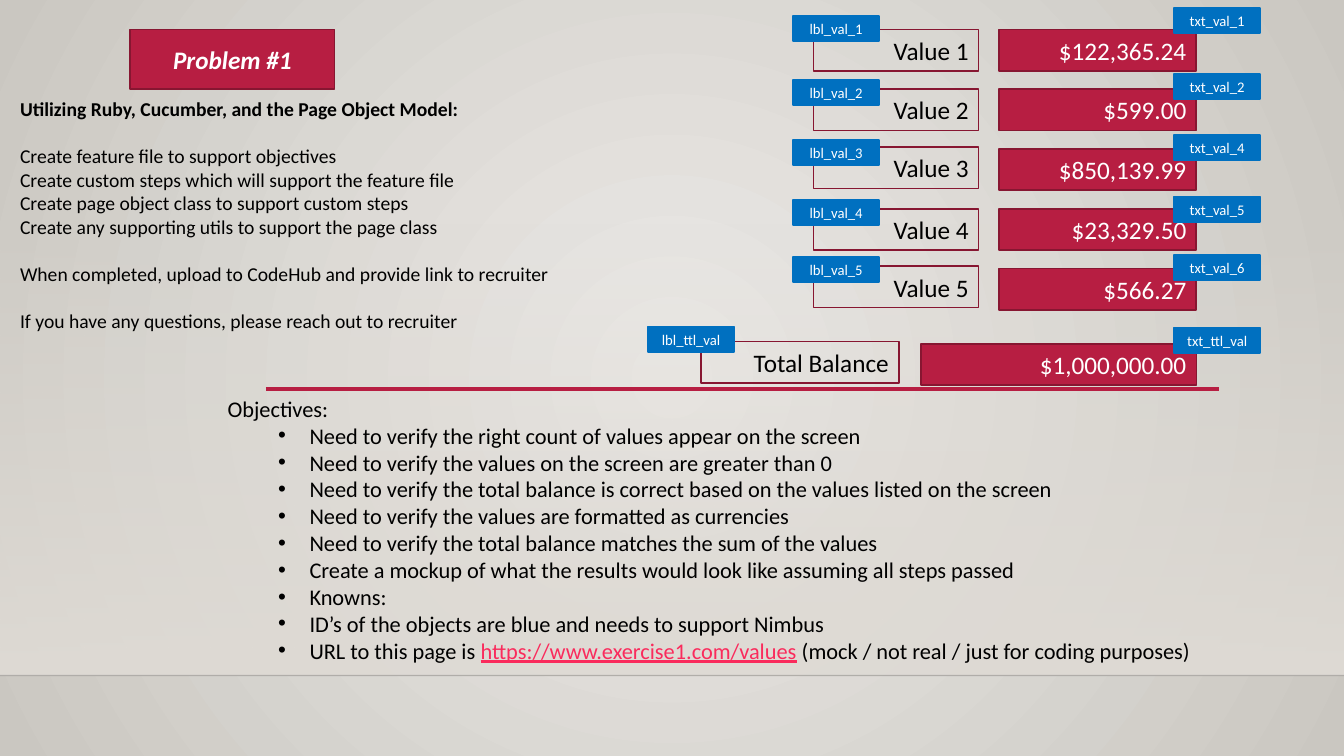
from lxml import etree
from pptx import Presentation
from pptx import util as u
from pptx.dml.color import RGBColor
from pptx.enum import shapes, text
from pptx.oxml import ns

Pt = u.Pt
COLOURS = {
    "glow": "ECEAE7", "edge": "CAC7C1", "wall": "DFDBD5", "floor_line": "000001",
    "crimson": "B71E42", "maroon": "871631", "blue": "0070C0", "link": "FA2B5C",
    "black": "000000", "white": "FFFFFF",
}
ALIGN = text.PP_ALIGN
FORMATS = {
    "title": {"size": Pt(18), "bold": True, "italic": True},
    "field": {"size": Pt(18)},
    "tag": {"size": Pt(10.5)},
    "heading": {"size": Pt(14), "bold": True},
    "brief": {"size": Pt(14), "bold": False},
    "objective": {"size": Pt(16)},
    "link": {"size": Pt(16), "underline": True},
}
BRIEF = [  # wording, format, space before
    ("Utilizing Ruby, Cucumber, and the Page Object Model:", "heading", 0),
    ("Create feature file to support objectives", "brief", 17),
    ("Create custom steps which will support the feature file", "brief", 0),
    ("Create page object class to support custom steps", "brief", 0),
    ("Create any supporting utils to support the page class", "brief", 0),
    ("When completed, upload to CodeHub and provide link to recruiter", "brief", 17),
    ("If you have any questions, please reach out to recruiter", "brief", 17),
]
OBJECTIVES = [
    "Need to verify the right count of values appear on the screen",
    "Need to verify the values on the screen are greater than 0",
    "Need to verify the total balance is correct based on the values listed on the screen",
    "Need to verify the values are formatted as currencies",
    "Need to verify the total balance matches the sum of the values",
    "Create a mockup of what the results would look like assuming all steps passed",
    "Knowns:",
    "ID’s of the objects are blue and needs to support Nimbus",
    "URL to this page is ",
]
URL = "https://www.exercise1.com/values"
URL_NOTE = " (mock / not real / just for coding purposes)"
VALUES = [  # amount, id of amount, offsets of label, label id and amount id
    ("$122,365.24", "txt_val_1", (0, -9.5, -15.2)),
    ("$599.00", "txt_val_2", (0, -6.8, -11.1)),
    ("$850,139.99", "txt_val_4", (-1.3, -6.3, -9.9)),
    ("$23,329.50", "txt_val_5", (0, -6.5, -8.7)),
    ("$566.27", "txt_val_6", (-1.6, -8.2, -9.6)),
]
ROW_PITCH = 42.7


def rgb(name):
    """Return the named colour."""
    return RGBColor.from_string(COLOURS[name])


def apply(target, values):
    """Set each attribute of target from a dict."""
    for key, value in values.items():
        setattr(target, key, value)


def add_run(paragraph, wording, style, colour="black"):
    """Append a formatted run."""
    run = paragraph.add_run()
    run.text = wording
    apply(run.font, {"name": "Calibri", **FORMATS[style]})
    run.font.color.rgb = rgb(colour)


def set_alpha(colour_element, percent):
    """Give a colour element an opacity."""
    etree.SubElement(colour_element, ns.qn("a:alpha")).set("val", str(percent * 1000))


def set_gradient(fill, *names):
    """Give a fill a two-stop gradient."""
    fill.gradient()
    for stop, name in zip(fill.gradient_stops, names):
        stop.color.rgb = rgb(name)


def style_box(shape, fill, line, wording, style, colour, align):
    """Paint a box and write its single line of text."""
    if fill:
        shape.fill.solid()
        shape.fill.fore_color.rgb = rgb(fill)
    else:
        shape.fill.background()
    shape.line.color.rgb = rgb(line)
    shape.line.width = Pt(1.25)
    apply(shape.text_frame, {"vertical_anchor": text.MSO_ANCHOR.MIDDLE,
                             "auto_size": text.MSO_AUTO_SIZE.NONE, "word_wrap": True})
    paragraph = shape.text_frame.paragraphs[0]
    paragraph.alignment = align
    add_run(paragraph, wording, style, colour)


def add_rect(slide, box):
    """Add a rectangle without a shadow."""
    rect = slide.shapes.add_shape(shapes.MSO_SHAPE.RECTANGLE, *map(Pt, box))
    rect.shadow.inherit = False
    return rect


def add_rule(slide, left, top, width, colour, weight):
    """Add a horizontal line without a shadow."""
    rule = slide.shapes.add_connector(shapes.MSO_CONNECTOR.STRAIGHT,
                                      Pt(left), Pt(top), Pt(left + width), Pt(top))
    rule.line.color.rgb = rgb(colour)
    rule.line.width = Pt(weight)
    etree.SubElement(rule.element.spPr, ns.qn("a:effectLst"))
    return rule


def add_text(slide, box):
    """Add a wrapping text box and return its frame."""
    frame = slide.shapes.add_textbox(*map(Pt, box)).text_frame
    frame.word_wrap = True
    return frame


def paragraphs(frame, count):
    """Yield the given number of paragraphs of a frame."""
    yield frame.paragraphs[0]
    for _ in range(count - 1):
        yield frame.add_paragraph()


def draw_backdrop(slide, box):
    """Draw the radial background, the wall and the floor line."""
    left, top, width, height = box
    set_gradient(slide.background.fill, "glow", "edge")
    radial = slide.element.xpath(".//p:bg//a:gradFill")[0]
    radial.remove(radial.find(ns.qn("a:lin")))
    path = etree.SubElement(radial, ns.qn("a:path"), {"path": "circle"})
    etree.SubElement(path, ns.qn("a:fillToRect"), dict.fromkeys("ltrb", "50000"))

    wall = add_rect(slide, box)
    set_gradient(wall.fill, "wall", "wall")
    wall.fill.gradient_angle = 270
    set_alpha(wall.element.xpath(".//a:gs/a:srgbClr")[0], 0)
    wall.line.fill.background()
    floor = add_rule(slide, left, top + height, width, "floor_line", 1)
    set_alpha(floor.element.xpath(".//a:ln//a:srgbClr")[0], 20)


def draw_title(slide, box):
    """Turn the title placeholder into the problem badge."""
    title = slide.shapes.title
    apply(title, dict(zip(("left", "top", "width", "height"), map(Pt, box))))
    style_box(title, "crimson", "maroon", "Problem #1", "title", "white", ALIGN.CENTER)


def draw_brief(slide, box):
    """Write the task description."""
    frame = add_text(slide, box)
    for paragraph, (wording, style, gap) in zip(paragraphs(frame, len(BRIEF)), BRIEF):
        paragraph.space_before = Pt(gap)
        add_run(paragraph, wording, style)


def draw_row(slide, box, label, amount, tags, offsets, widths, tag_shift):
    """Draw a label and an amount at the ends of the box, each with its blue id."""
    left, top, width, height = box
    right = left + width
    label_width, amount_width = widths
    label_dy, label_tag_dy, amount_tag_dy = offsets
    fields = [(left, label_dy, label_width, None, label, "black"),
              (right - amount_width, 0, amount_width, "crimson", amount, "white")]
    for x, dy, field_width, fill, wording, colour in fields:
        style_box(add_rect(slide, (x, top + dy, field_width, height)),
                  fill, "maroon", wording, "field", colour, ALIGN.RIGHT)
    places = [(left + tag_shift, label_tag_dy), (right - 15.8, amount_tag_dy)]
    for (x, dy), tag in zip(places, tags):
        style_box(add_rect(slide, (x, top + dy, 61.2, 18)),
                  "blue", "blue", tag, "tag", "white", ALIGN.CENTER)


def draw_balance(slide, box):
    """Draw the five value rows, the wider total row and the rule below."""
    left, top, width, height = box
    for i, (amount, tag, offsets) in enumerate(VALUES):
        draw_row(slide, (left + 80, top + i * ROW_PITCH, width - 80, 29.5),
                 f"Value {i + 1}", amount, (f"lbl_val_{i + 1}", tag),
                 offsets, (118, 141), -14.4)
    draw_row(slide, (left, top + height - 29.5, width, 29.5), "Total Balance",
             "$1,000,000.00", ("lbl_ttl_val", "txt_ttl_val"),
             (-1.5, -12.2, -11.5), (141, 196.6), -38)
    add_rule(slide, left - 311, top + height + 3, 680.4, "crimson", 2.5)


def draw_objectives(slide, box):
    """Write the bulleted objectives under their heading."""
    heading, *items = paragraphs(add_text(slide, box), len(OBJECTIVES) + 1)
    add_run(heading, "Objectives:", "objective")
    for item, wording in zip(items, OBJECTIVES):
        item.level = 1
        props = item._p.get_or_add_pPr()
        props.set("marL", str(Pt(58.5)))
        props.set("indent", str(-Pt(22.5)))
        etree.SubElement(props, ns.qn("a:buFont")).set("typeface", "Arial")
        etree.SubElement(props, ns.qn("a:buChar")).set("char", "•")
        add_run(item, wording, "objective")
    add_run(items[-1], URL, "link", "link")
    add_run(items[-1], URL_NOTE, "objective")


deck = Presentation()
deck.slide_width, deck.slide_height = Pt(960), Pt(540)
problem = deck.slides.add_slide(deck.slide_layouts[5])
draw_backdrop(problem, (0, 159, 960, 323.5))
draw_title(problem, (93, 21, 146, 42.5))
draw_balance(problem, (501, 21, 353.6, 254))
draw_objectives(problem, (155.5, 278.6, 713.5, 220))
draw_brief(problem, (7.2, 65.5, 406, 177))
deck.save("out.pptx")
